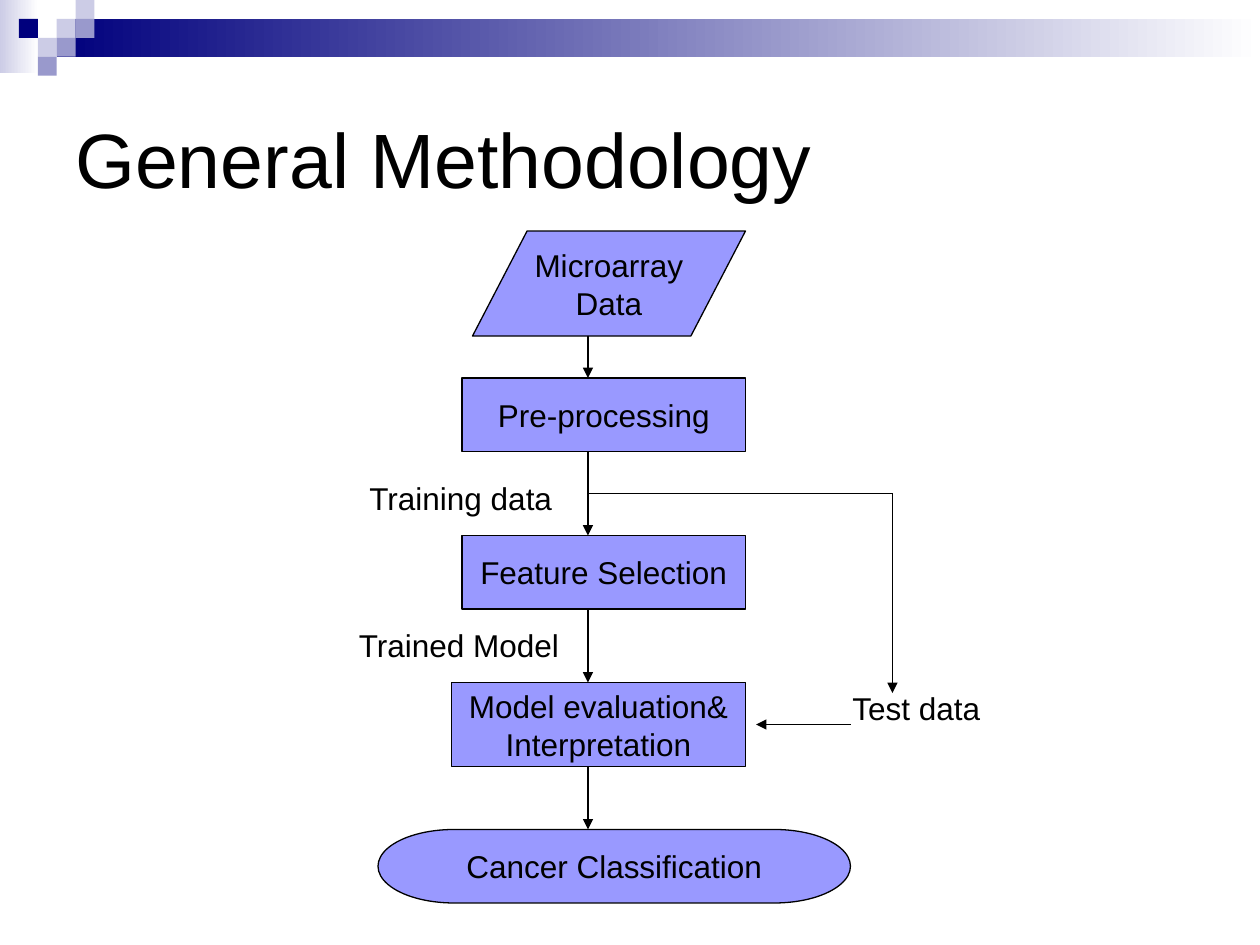
from lxml import etree
from pptx import Presentation
from pptx.dml.color import RGBColor
from pptx.enum.shapes import MSO_CONNECTOR, MSO_SHAPE
from pptx.enum.text import MSO_ANCHOR, PP_ALIGN
from pptx.oxml.ns import qn
from pptx.util import Pt

RECT = MSO_SHAPE.RECTANGLE
DATA = MSO_SHAPE.FLOWCHART_DATA
PROCESS = MSO_SHAPE.FLOWCHART_PROCESS
TERMINATOR = MSO_SHAPE.FLOWCHART_TERMINATOR
STRAIGHT = MSO_CONNECTOR.STRAIGHT
MIDDLE = MSO_ANCHOR.MIDDLE
CENTER = PP_ALIGN.CENTER

FONT = "Arial"
COLORS = {"navy": "00007D", "mid": "9999CC", "pale": "CCCCE6",
          "white": "FFFFFF", "box": "9999FF", "ink": "000000"}


def rgb(name):
    return RGBColor.from_string(COLORS[name])


def write(shape, lines, size, align=None):
    tf = shape.text_frame
    tf.vertical_anchor = MIDDLE
    for i, line in enumerate(lines):
        p = tf.add_paragraph() if i else tf.paragraphs[0]
        p.text = line
        p.alignment = align
        p.font.name, p.font.size = FONT, Pt(size)
        p.font.color.rgb = rgb("ink")


def add_text(s, text, x, y, w, h, size=18):
    sp = s.shapes.add_textbox(Pt(x), Pt(y), Pt(w), Pt(h))
    sp.text_frame.word_wrap = True
    write(sp, [text], size)


def add_block(s, kind, x, y, w, h, *fill):
    """Add a shape without outline; two fill colours make a gradient."""
    sp = s.shapes.add_shape(kind, Pt(x), Pt(y), Pt(w), Pt(h))
    sp.shadow.inherit = False
    sp.line.fill.background()
    if len(fill) == 2:
        sp.fill.gradient()
        sp.fill.gradient_angle = 0
        for stop, color in zip(sp.fill.gradient_stops, fill):
            stop.color.rgb = rgb(color)
    else:
        sp.fill.solid()
        sp.fill.fore_color.rgb = rgb(fill[0])
    return sp


def add_step(s, kind, lines, x, y, w, h):
    sp = add_block(s, kind, x, y, w, h, "box")
    sp.line.color.rgb = rgb("ink")
    sp.line.width = Pt(0.75)
    sp.text_frame.word_wrap = False
    write(sp, lines, 18, CENTER)


def add_line(s, x1, y1, x2, y2, arrow=True):
    c = s.shapes.add_connector(STRAIGHT, Pt(x1), Pt(y1), Pt(x2), Pt(y2))
    c.line.color.rgb = rgb("ink")
    c.line.width = Pt(0.75)
    if arrow:
        etree.SubElement(c.line._get_or_add_ln(), qn("a:tailEnd"), type="triangle")
    etree.SubElement(c._element.spPr, qn("a:effectLst"))


def add_banner(s, x, y, w):
    unit = 10.8
    add_block(s, RECT, x, y, 22, 42, "pale", "white")
    add_block(s, RECT, x + 3 * unit, y + unit, w - 3 * unit, 2 * unit, "navy", "white")
    # Mosaic squares: column, row, colour
    for col, row, color in [(3, 1, "pale"), (4, 0, "pale"), (4, 1, "mid"),
                            (2, 2, "pale"), (1, 1, "navy"), (3, 2, "mid"),
                            (2, 3, "mid")]:
        add_block(s, RECT, x + col * unit, y + row * unit, unit, unit, color)


def add_flowchart(s, x, y):
    # Steps
    for kind, lines, dx, dy, w, h in [
            (DATA, ["Microarray", "Data"], 72, 0, 156, 60),
            (PROCESS, ["Pre-processing"], 66, 84, 162, 42),
            (PROCESS, ["Feature Selection"], 66, 174, 162, 42),
            (PROCESS, ["Model evaluation&", "Interpretation"], 60, 258, 168, 48),
            (TERMINATOR, ["Cancer Classification"], 18, 342, 270, 42)]:
        add_step(s, kind, lines, x + dx, y + dy, w, h)

    # Main flow, all on one axis
    axis = x + 138
    for top, bottom in [(60, 84), (126, 174), (216, 258), (306, 342)]:
        add_line(s, axis, y + top, axis, y + bottom)

    # Test data branch
    branch = x + 312
    add_line(s, axis, y + 150, branch, y + 150, arrow=False)
    add_line(s, branch, y + 150, branch, y + 264)
    add_line(s, x + 288, y + 282, x + 234, y + 282)

    # Labels
    for text, dx, dy, w in [("Training data", 6, 138, 156),
                            ("Trained Model", 0, 222, 150),
                            ("Test data", 282, 258, 126)]:
        add_text(s, text, x + dx, y + dy, w, 29)


def main():
    prs = Presentation()
    prs.slide_width, prs.slide_height = Pt(720), Pt(540)
    s = prs.slides.add_slide(prs.slide_layouts[6])
    add_banner(s, 0, 0, 720)
    add_text(s, "General Methodology", 36, 36, 648, 108, 44)
    add_flowchart(s, 198, 132)
    prs.save("out.pptx")


if __name__ == "__main__":
    main()
